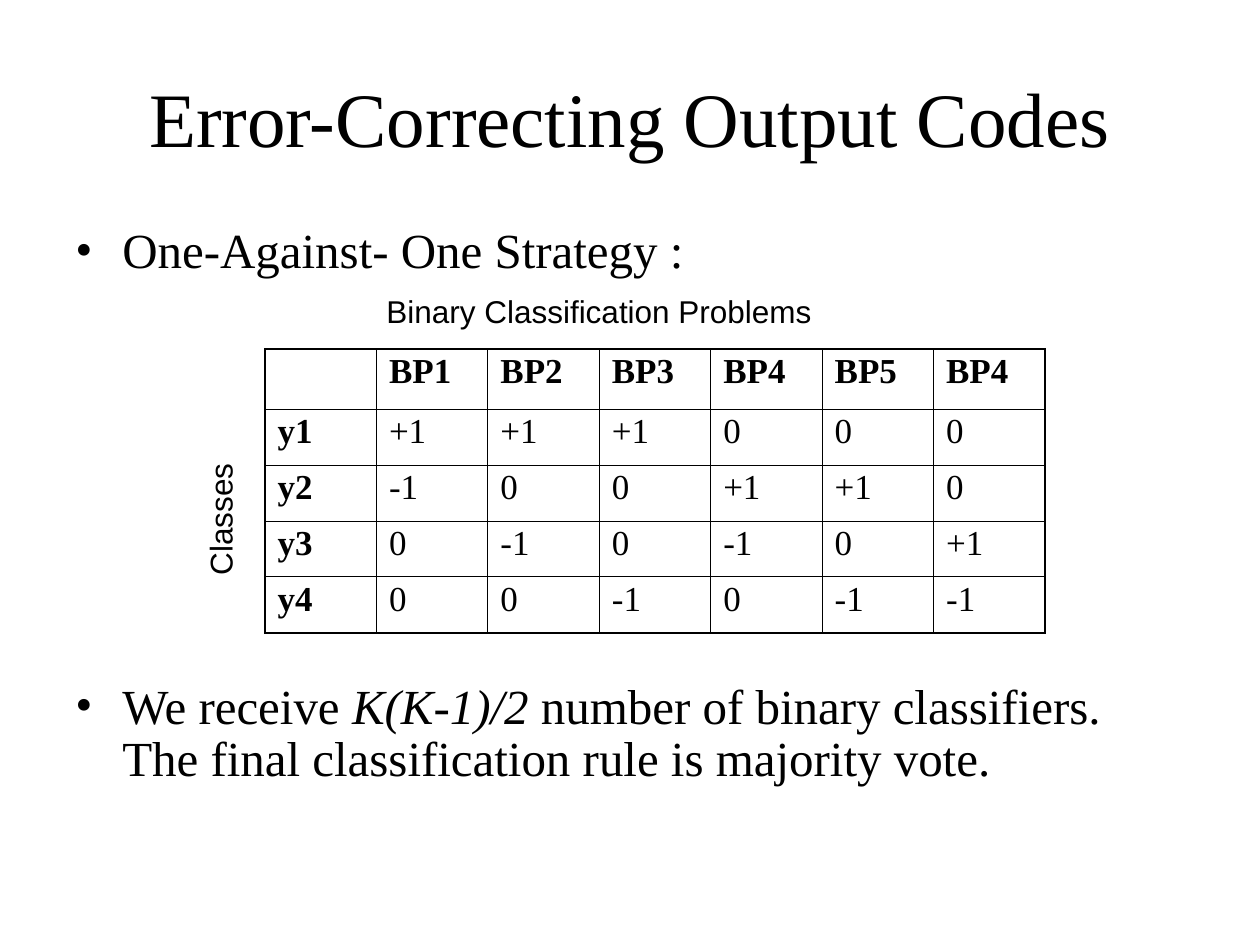
from lxml import etree
from pptx import Presentation
from pptx import util as u
from pptx.dml.color import RGBColor
from pptx.enum import text
from pptx.oxml import ns

PX_PER_INCH = 126
COLORS = {"ink": "000000", "paper": "FFFFFF"}
SERIF, SANS = "Times New Roman", "Arial"
THIN, THICK = 0.45, 1.08

CODE_TABLE = [
    ["", "BP1", "BP2", "BP3", "BP4", "BP5", "BP4"],
    ["y1", "+1", "+1", "+1", "0", "0", "0"],
    ["y2", "-1", "0", "0", "+1", "+1", "0"],
    ["y3", "0", "-1", "0", "-1", "0", "+1"],
    ["y4", "0", "0", "-1", "0", "-1", "-1"],
]


def px(value):
    return u.Emu(round(value * 914400 / PX_PER_INCH))


def rgb(name):
    return RGBColor.from_string(COLORS[name])


def add_run(paragraph, words, size, font=SERIF, bold=False, italic=False):
    run = paragraph.add_run()
    run.text = words
    run.font.name = font
    run.font.size = u.Pt(size)
    run.font.bold = bold
    run.font.italic = italic
    run.font.color.rgb = rgb("ink")


def add_box(slide, left, top, width, height):
    shape = slide.shapes.add_textbox(px(left), px(top), px(width), px(height))
    shape.text_frame.word_wrap = True
    return shape


def add_title(slide, words):
    frame = add_box(slide, 63, 38, 1134, 157).text_frame
    frame.vertical_anchor = text.MSO_ANCHOR.MIDDLE
    paragraph = frame.paragraphs[0]
    paragraph.alignment = text.PP_ALIGN.CENTER
    add_run(paragraph, words, 44)


def add_caption(slide, words, left, top, width, height, rotation=0):
    shape = add_box(slide, left, top, width, height)
    shape.rotation = rotation
    shape.text_frame.auto_size = text.MSO_AUTO_SIZE.SHAPE_TO_FIT_TEXT
    add_run(shape.text_frame.paragraphs[0], words, 18, SANS)


def format_bullet(paragraph):
    properties = paragraph._p.get_or_add_pPr()
    properties.set("marL", str(px(47)))
    properties.set("indent", str(-px(47)))
    color = etree.SubElement(properties, ns.qn("a:buClr"))
    etree.SubElement(color, ns.qn("a:srgbClr"), val=COLORS["ink"])
    etree.SubElement(properties, ns.qn("a:buFont"), typeface=SERIF)
    etree.SubElement(properties, ns.qn("a:buChar"), char="•")
    paragraph.line_spacing = 0.9


def add_body(slide):
    frame = add_box(slide, 63, 220, 1124, 624).text_frame
    strategy = frame.paragraphs[0]
    format_bullet(strategy)
    add_run(strategy, "One-Against- One Strategy :", 28)

    # The gap before the second point leaves room for the table
    rule = frame.add_paragraph()
    format_bullet(rule)
    rule.space_before = u.Pt(230)
    add_run(rule, "We receive ", 28)
    add_run(rule, "K(K-1)/2", 28, italic=True)
    add_run(rule, " number of binary classifiers. "
                  "The final classification rule is majority vote.", 28)


def set_borders(cell, outer_sides):
    properties = cell._tc.get_or_add_tcPr()
    for side in "LRTB":
        width = THICK if side in outer_sides else THIN
        line = etree.SubElement(properties, ns.qn(f"a:ln{side}"), w=str(u.Pt(width)))
        fill = etree.SubElement(line, ns.qn("a:solidFill"))
        etree.SubElement(fill, ns.qn("a:srgbClr"), val=COLORS["ink"])


def add_code_table(slide, rows):
    row_count, column_count = len(rows), len(rows[0])
    table = slide.shapes.add_table(row_count, column_count, px(265), px(349),
                                   px(780), px(284)).table
    table.horz_banding = False
    table.first_row = False
    for column in table.columns:
        column.width = px(780 / column_count)
    for r, values in enumerate(rows):
        table.rows[r].height = px(60 if r == 0 else 56)
        for c, value in enumerate(values):
            cell = table.cell(r, c)
            edges = {"L": c == 0, "R": c == column_count - 1,
                     "T": r == 0, "B": r == row_count - 1}
            set_borders(cell, [side for side, outer in edges.items() if outer])
            cell.fill.background()
            if value:
                paragraph = cell.text_frame.paragraphs[0]
                paragraph.line_spacing = 0.9
                add_run(paragraph, value, 20, bold=r == 0 or c == 0)


def main():
    presentation = Presentation()
    presentation.slide_width, presentation.slide_height = px(1260), px(945)
    slide = presentation.slides.add_slide(presentation.slide_layouts[6])
    slide.background.fill.solid()
    slide.background.fill.fore_color.rgb = rgb("paper")

    # Title and bullet points
    add_title(slide, "Error-Correcting Output Codes")
    add_body(slide)

    # Code table with its axis captions
    add_code_table(slide, CODE_TABLE)
    add_caption(slide, "Binary Classification Problems", 374, 286, 483, 50)
    add_caption(slide, "Classes", 89, 432, 262, 50, rotation=270)

    presentation.save("out.pptx")


if __name__ == "__main__":
    main()
